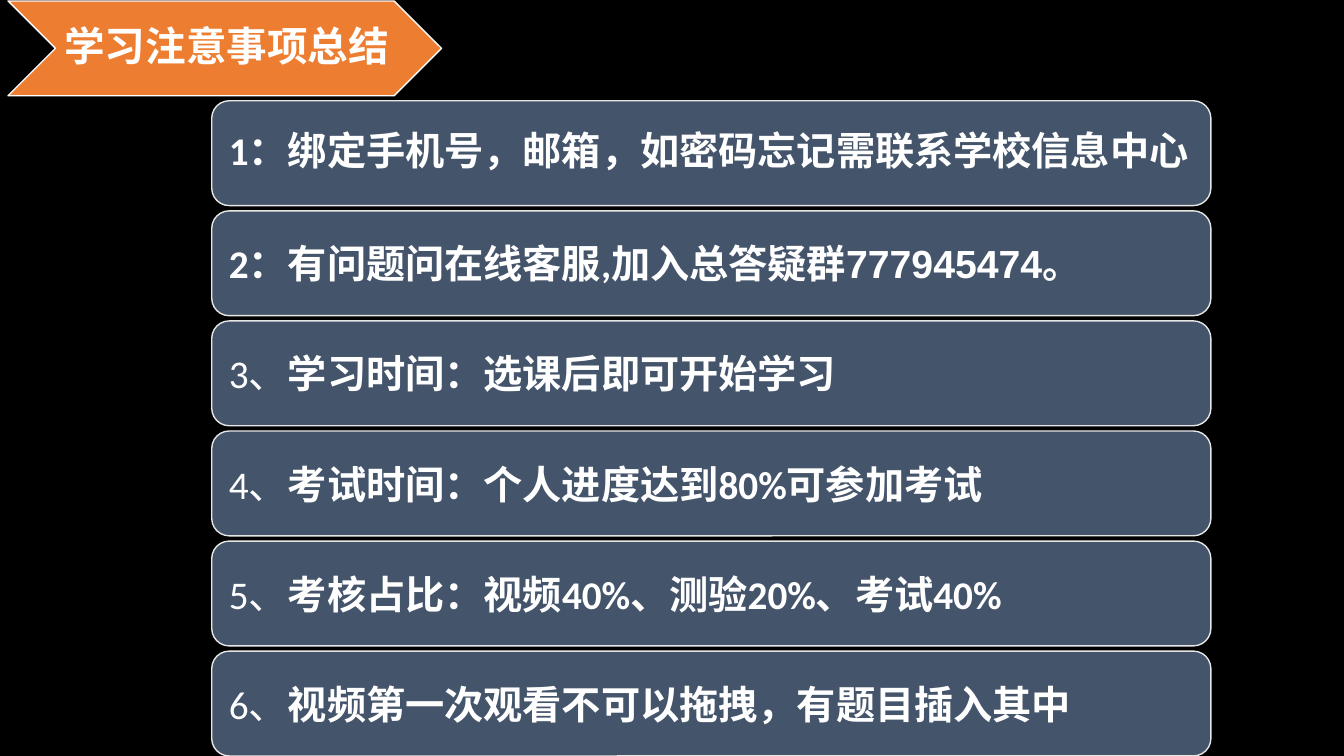
from dataclasses import dataclass

from pptx import Presentation
from pptx.dml.color import RGBColor
from pptx.enum.shapes import MSO_SHAPE
from pptx.enum.text import MSO_ANCHOR, MSO_AUTO_SIZE, PP_ALIGN
from pptx.util import Inches, Pt


@dataclass(frozen=True)
class Theme:
    background: str = "000000"
    banner: str = "ED7D31"
    card: str = "44546A"
    card_line: str = "E7E6E6"
    white: str = "FFFFFF"
    font: str = "Calibri"
    number_font: str = "Arial"
    title_size: int = 29
    card_size: int = 28


THEME = Theme()
TITLE = "学习注意事项总结"

# Each note: line spacing and its runs as (text, bold, font)
NOTES = [
    (0.9, [("1：绑定手机号，邮箱，如密码忘记需联系学校信息中心", True, THEME.font)]),
    (1.0, [("2：有问题问在线客服,加入总答疑群", True, THEME.font),
           ("777945474", True, THEME.number_font),
           ("。", True, THEME.font)]),
] + [
    (1.0, [(f"{number}、", False, THEME.font), (note, True, THEME.font)])
    for number, note in enumerate([
        "学习时间：选课后即可开始学习",
        "考试时间：个人进度达到80%可参加考试",
        "考核占比：视频40%、测验20%、考试40%",
        "视频第一次观看不可以拖拽，有题目插入其中",
    ], start=3)
]

CARD_LEFT, CARD_TOP, CARD_WIDTH, CARD_HEIGHT = 2.1, 1.0, 9.91, 1.04
CARD_PITCH = (7.5 - CARD_HEIGHT - CARD_TOP) / (len(NOTES) - 1)


def apply(target, values):
    for attribute, value in values.items():
        setattr(target, attribute, value)


def add_panel(slide, preset, box, fill, line):
    panel = slide.shapes.add_shape(preset, *map(Inches, box))
    panel.shadow.inherit = False
    panel.fill.solid()
    panel.fill.fore_color.rgb = RGBColor.from_string(fill)
    panel.line.color.rgb = RGBColor.from_string(line)
    panel.line.width = Pt(1)
    return panel


def format_frame(frame, margins):
    left, top, right, bottom = map(Inches, margins)
    apply(frame, {
        "word_wrap": True, "auto_size": MSO_AUTO_SIZE.NONE,
        "vertical_anchor": MSO_ANCHOR.MIDDLE,
        "margin_left": left, "margin_top": top,
        "margin_right": right, "margin_bottom": bottom,
    })


def write_runs(paragraph, runs, size, align, spacing):
    apply(paragraph, {"alignment": align, "line_spacing": spacing})
    for text, bold, font in runs:
        run = paragraph.add_run()
        run.text = text
        apply(run.font, {"name": font, "size": Pt(size), "bold": bold})
        run.font.color.rgb = RGBColor.from_string(THEME.white)


def add_banner(slide):
    banner = add_panel(slide, MSO_SHAPE.CHEVRON, (0.08, 0.01, 4.3, 0.94),
                       THEME.banner, THEME.white)
    title = slide.shapes.title
    # The banner lies behind the title
    title.element.addprevious(banner.element)
    apply(title, {"left": Inches(0.55), "top": Inches(0.01),
                  "width": Inches(3.36), "height": Inches(0.94)})
    format_frame(title.text_frame, (0.04, 0.02, 0, 0.02))
    write_runs(title.text_frame.paragraphs[0], [(TITLE, True, THEME.font)],
               THEME.title_size, PP_ALIGN.CENTER, 0.9)


def add_note(slide, top, spacing, runs):
    card = add_panel(slide, MSO_SHAPE.ROUNDED_RECTANGLE,
                     (CARD_LEFT, top, CARD_WIDTH, CARD_HEIGHT),
                     THEME.card, THEME.card_line)
    format_frame(card.text_frame, (0.12, 0.06, 0.12, 0.06))
    write_runs(card.text_frame.paragraphs[0], runs,
               THEME.card_size, PP_ALIGN.LEFT, spacing)


def main():
    deck = Presentation()
    apply(deck, {"slide_width": Inches(13.33), "slide_height": Inches(7.5)})
    slide = deck.slides.add_slide(deck.slide_layouts[5])
    slide.background.fill.solid()
    slide.background.fill.fore_color.rgb = RGBColor.from_string(THEME.background)

    # Title banner, then the stack of notes
    add_banner(slide)
    for row, (spacing, runs) in enumerate(NOTES):
        add_note(slide, CARD_TOP + row * CARD_PITCH, spacing, runs)
    deck.save("out.pptx")


if __name__ == "__main__":
    main()
